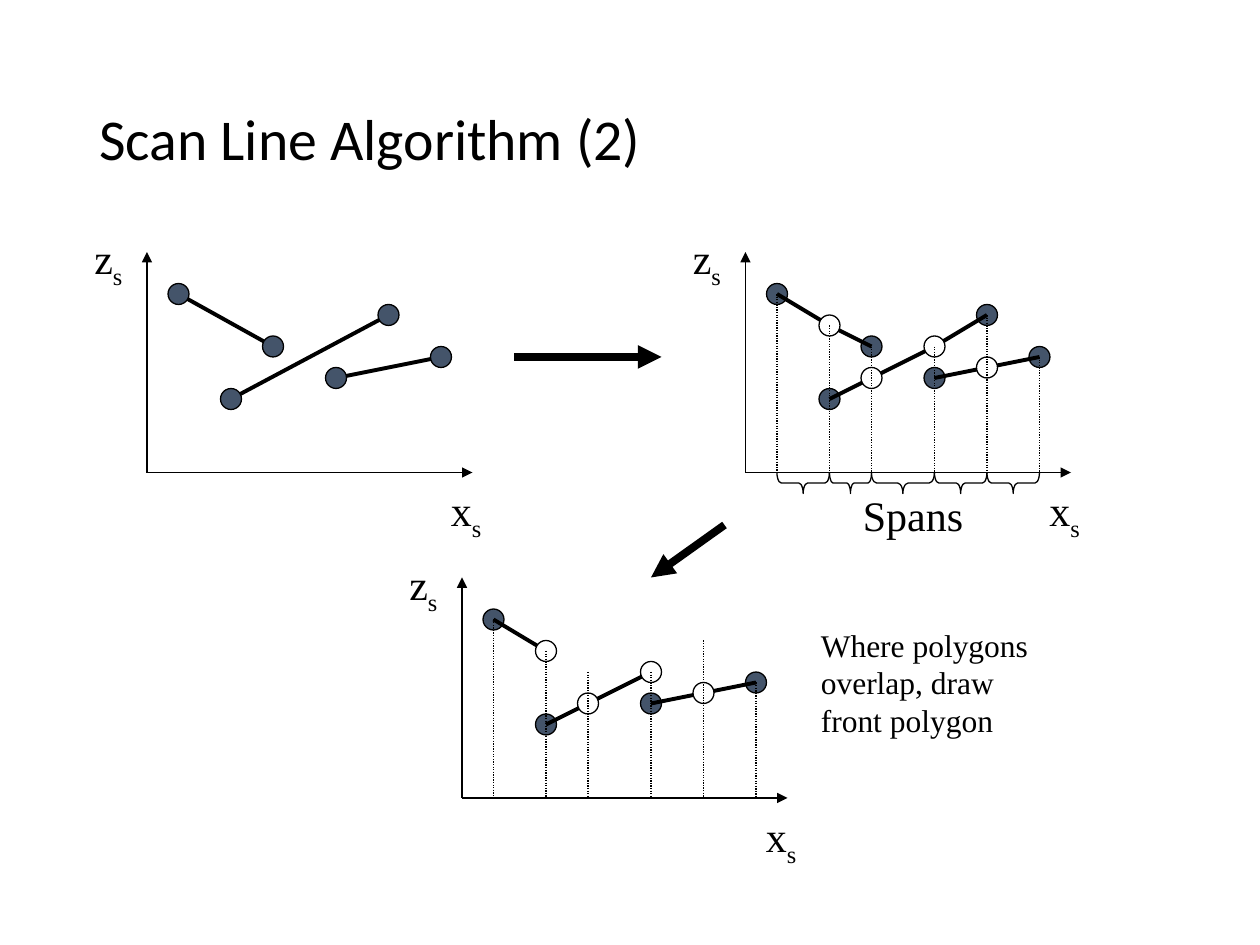
from math import hypot
from itertools import pairwise

from lxml import etree
from pptx import Presentation
from pptx.dml.color import RGBColor
from pptx.enum import dml, shapes, text
from pptx.oxml import ns
from pptx.util import Pt

BLACK, SLATE = "000000", "44546A"
SERIF = "Times New Roman"
RADIUS = 6
AXIS_WIDTH, AXIS_HEIGHT = 186, 126
ENDS = {"A": (18, 102), "B": (72, 72), "C": (48, 42),
        "D": (138, 90), "E": (108, 54), "F": (168, 66)}
CROSSINGS = {"P": (48, 84), "Q": (72, 54), "R": (108, 72), "S": (138, 60)}
POINTS = ENDS | CROSSINGS
SPAN_TOPS = "APBRDF"


def color(value):
    return RGBColor.from_string(value)


def apply_format(target, values):
    for name, value in values.items():
        setattr(target, name, value)


def add_line(slide, start, end, width, arrow=False, dotted=False):
    connector = slide.shapes.add_connector(
        shapes.MSO_CONNECTOR.STRAIGHT, *map(Pt, (*start, *end)))
    connector.line.color.rgb = color(BLACK)
    connector.line.width = Pt(width)
    if dotted:
        connector.line.dash_style = dml.MSO_LINE.ROUND_DOT
    if arrow:
        tail = etree.SubElement(connector.line._get_or_add_ln(), ns.qn("a:tailEnd"))
        tail.set("type", "triangle")
    etree.SubElement(connector._element.spPr, ns.qn("a:effectLst"))


def add_outline(slide, kind, box, fill=None):
    shape = slide.shapes.add_shape(kind, *map(Pt, box))
    shape.shadow.inherit = False
    shape.line.color.rgb = color(BLACK)
    shape.line.width = Pt(0.75)
    if fill:
        shape.fill.solid()
        shape.fill.fore_color.rgb = color(fill)
    else:
        shape.fill.background()
    return shape


def add_label(slide, box, words, size=24, subscript=None, wrap=False):
    frame = slide.shapes.add_textbox(*map(Pt, box)).text_frame
    apply_format(frame, {"word_wrap": wrap,
                         "auto_size": text.MSO_AUTO_SIZE.SHAPE_TO_FIT_TEXT})
    paragraph = frame.paragraphs[0]
    for part in filter(None, (words, subscript)):
        run = paragraph.add_run()
        run.text = part
        apply_format(run.font, {"name": SERIF, "size": Pt(size)})
        run.font.color.rgb = color(BLACK)
        if part == subscript:
            run._r.get_or_add_rPr().set("baseline", "-25000")


def trimmed(start, end):
    (x1, y1), (x2, y2) = start, end
    share = RADIUS / hypot(x2 - x1, y2 - y1)
    return x2 - (x2 - x1) * share, y2 - (y2 - y1) * share


def add_graph(slide, left, top, dots, segments, dropped=False, braces=False):
    bottom = top + AXIS_HEIGHT

    def place(point):
        return left + point[0], bottom - point[1]

    def add_segments():
        for first, last in segments:
            start, end = POINTS[first], POINTS[last]
            tip = trimmed(start, end) if last in CROSSINGS else end
            tail = trimmed(end, start) if first in CROSSINGS else start
            add_line(slide, place(tail), place(tip), 2.25)

    def add_dots():
        for name in dots:
            x, y = place(POINTS[name])
            add_outline(slide, shapes.MSO_SHAPE.OVAL,
                        (x - RADIUS, y - RADIUS, 2 * RADIUS, 2 * RADIUS),
                        SLATE if name in ENDS else None)

    for tip in ((0, AXIS_HEIGHT), (AXIS_WIDTH, 0)):
        add_line(slide, place((0, 0)), place(tip), 0.75, arrow=True)
    add_label(slide, (left - 37.2, top - 14.4, 31.7, 36), "z", subscript="s")
    add_label(slide, (left + 166.6, bottom + 3.6, 32.4, 36), "x", subscript="s")

    for step in (add_dots, add_segments) if dropped else (add_segments, add_dots):
        step()
    if dropped:
        for name in SPAN_TOPS:
            x, y = POINTS[name]
            add_line(slide, place((x, y)), place((x, 0)), 0.75, dotted=True)
    if braces:
        add_braces(slide, left, bottom)


def add_braces(slide, left, top, depth=12):
    for start, end in pairwise(POINTS[name][0] for name in SPAN_TOPS):
        length = end - start
        middle = left + (start + end) / 2
        brace = add_outline(slide, shapes.MSO_SHAPE.LEFT_BRACE,
                            (middle - depth / 2, top + (depth - length) / 2,
                             depth, length))
        brace.rotation = 270
        brace.adjustments[0] = length / 144
    add_label(slide, (left + 60, top + 6, 72, 36), "Spans")


def add_title(slide, box, words):
    title = slide.shapes.title
    apply_format(title, dict(zip(("left", "top", "width", "height"), map(Pt, box))))
    title.text_frame.text = words
    apply_format(title.text_frame, {"vertical_anchor": text.MSO_ANCHOR.MIDDLE,
                                    "word_wrap": True})
    paragraph = title.text_frame.paragraphs[0]
    apply_format(paragraph, {"alignment": text.PP_ALIGN.LEFT, "line_spacing": 0.9})
    font = paragraph.runs[0].font
    apply_format(font, {"name": "Calibri", "size": Pt(33)})
    font.color.rgb = color(BLACK)


def main():
    presentation = Presentation()
    presentation.slide_width, presentation.slide_height = Pt(720), Pt(540)
    slide = presentation.slides.add_slide(presentation.slide_layouts[5])
    add_title(slide, (49.5, 28.8, 621, 104.4), "Scan Line Algorithm (2)")
    add_graph(slide, 84, 144, "DCBAEF", ("AB", "CD", "EF"))
    add_graph(slide, 426, 144, "DCBAFPQERS",
              ("AP", "BP", "CQ", "DR", "RQ", "ES", "FS"), dropped=True, braces=True)
    add_graph(slide, 264, 330, "CAFPQERS",
              ("AP", "CQ", "RQ", "ES", "FS"), dropped=True)
    add_label(slide, (462, 354, 139, 72),
              "Where polygons overlap, draw front polygon", size=18, wrap=True)
    add_line(slide, (294, 204), (378, 204), 4.5, arrow=True)
    add_line(slide, (414, 300), (372, 330), 4.5, arrow=True)
    presentation.save("out.pptx")


if __name__ == "__main__":
    main()
